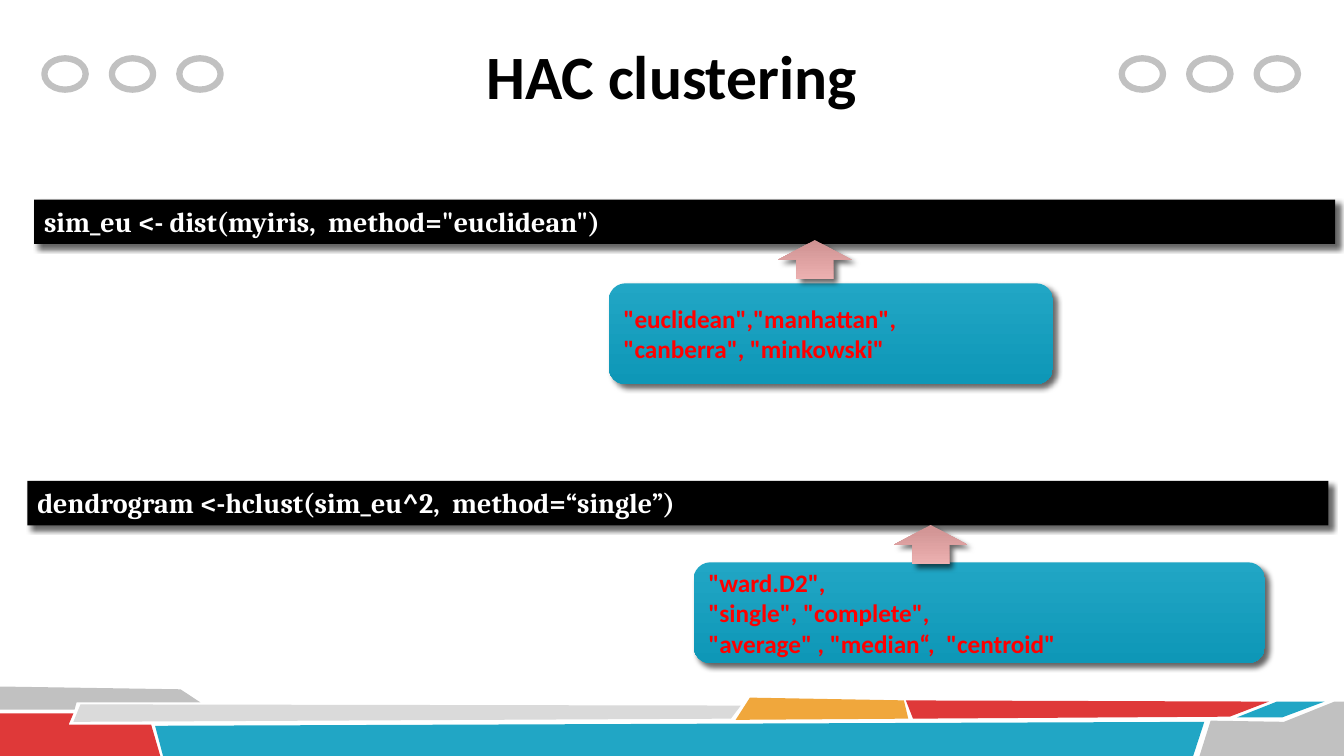
from lxml import etree
from pptx import Presentation
from pptx import util as u
from pptx.dml.color import RGBColor
from pptx.enum import shapes, text
from pptx.oxml.ns import qn

COLORS = {
    "black": "000000", "white": "FFFFFF", "code_text": "FFFFFF", "option_text": "FF0000",
    "gray": "C1C1C1", "light_gray": "DADADA", "red": "DF3939", "orange": "F0A73C",
    "teal": "21A6C5", "deep_teal": "0E97B7", "rose": "CF9292", "light_rose": "ECB0B0",
}

RIBBONS = [
    ("gray", [(0, 17.3), (4.55, 17.37), (5.05, 17.7), (1.93, 17.7), (1.88, 17.88), (0, 17.88)]),
    ("red", [(0, 17.98), (1.85, 17.98), (1.73, 18.26), (3.81, 18.26), (4.04, 19.05), (0, 19.05)]),
    ("light_gray", [(2.03, 17.75), (18.67, 17.78), (18.42, 18.11), (1.85, 18.19)]),
    ("teal", [(3.91, 18.29), (30.35, 18.19), (30.07, 19.05), (4.11, 19.05)]),
    ("orange", [(18.9, 17.58), (22.78, 17.65), (22.89, 18.11), (18.54, 18.14)]),
    ("red", [(22.83, 17.65), (31.98, 17.68), (30.99, 18.06), (23.01, 18.11)]),
    ("teal", [(32.18, 17.68), (33.38, 17.68), (32.31, 18.08), (31.17, 18.08)]),
    ("gray", [(30.51, 18.16), (32.36, 18.19), (33.63, 17.68), (33.87, 17.68),
              (33.87, 19.05), (30.23, 19.05)]),
]

TITLE_FONT = {"name": "Calibri", "size": u.Pt(44), "bold": True}
CODE_FONT = {"name": "Cambria", "size": u.Pt(20), "bold": True}
OPTION_FONT = {"name": "Calibri", "size": u.Pt(18), "bold": True}

CODE_BARS = [
    (0.86, 5.03, 'sim_eu <- dist(myiris,  method="euclidean")'),
    (0.69, 12.12, "dendrogram <-hclust(sim_eu^2,  method=“single”)"),
]
CALLOUTS = [
    (15.34, 7.14, 11.2, ['"euclidean","manhattan",', '"canberra", "minkowski"']),
    (17.48, 14.17, 14.4, ['"ward.D2",', '"single", "complete",',
                          '"average" , "median“,  "centroid"']),
]
ARROWS = [(19.61, 6.05), (22.53, 13.23)]


def rgb(color):
    return RGBColor.from_string(COLORS[color])


def fill_solid(shape, color):
    shape.fill.solid()
    shape.fill.fore_color.rgb = rgb(color)


def fill_gradient(shape, top_color, bottom_color):
    shape.fill.gradient()
    shape.fill.gradient_angle = 270
    for stop, color in zip(shape.fill.gradient_stops, (top_color, bottom_color)):
        stop.color.rgb = rgb(color)


def add_shadow(shape):
    """Give the shape a soft shadow towards the lower right."""
    shape.shadow.inherit = False
    effects = shape._element.spPr.find(qn("a:effectLst"))
    shadow = etree.SubElement(effects, qn("a:outerShdw"), blurRad=str(u.Pt(4)),
                              dist=str(u.Pt(4)), dir="2700000", algn="tl", rotWithShape="0")
    color = etree.SubElement(shadow, qn("a:srgbClr"), val=COLORS["black"])
    etree.SubElement(color, qn("a:alpha"), val="60000")


def add_preset(slide, kind, left, top, width, height):
    """Add a preset shape without outline or shadow."""
    shape = slide.shapes.add_shape(kind, u.Cm(left), u.Cm(top), u.Cm(width), u.Cm(height))
    shape.shadow.inherit = False
    shape.line.fill.background()
    return shape


def write_lines(shape, lines, font, color, anchor, alignment=text.PP_ALIGN.LEFT):
    frame = shape.text_frame
    frame.word_wrap = True
    frame.vertical_anchor = anchor
    for index, line in enumerate(lines):
        paragraph = frame.add_paragraph() if index else frame.paragraphs[0]
        paragraph.alignment = alignment
        run = paragraph.add_run()
        run.text = line
        for name, value in font.items():
            setattr(run.font, name, value)
        run.font.color.rgb = rgb(color)


def add_ribbon(slide, color, points):
    start, *others = [(u.Cm(x), u.Cm(y)) for x, y in points]
    builder = slide.shapes.build_freeform(*start)
    builder.add_line_segments(others, close=True)
    ribbon = builder.convert_to_shape()
    ribbon.shadow.inherit = False
    ribbon.line.fill.background()
    fill_solid(ribbon, color)


def add_rings(slide, left):
    for index in range(3):
        ring = add_preset(slide, shapes.MSO_SHAPE.OVAL, left + index * 1.7, 1.47, 1.04, 0.79)
        ring.fill.background()
        ring.line.color.rgb = rgb("gray")
        ring.line.width = u.Pt(4.5)


def add_title(slide, title):
    box = slide.shapes.add_textbox(u.Cm(5.92), u.Cm(0.3), u.Cm(22.02), u.Cm(3.18))
    write_lines(box, [title], TITLE_FONT, "black", text.MSO_ANCHOR.MIDDLE, text.PP_ALIGN.CENTER)


def add_code_bar(slide, left, top, code):
    bar = add_preset(slide, shapes.MSO_SHAPE.RECTANGLE, left, top, 32.79, 1.12)
    fill_solid(bar, "black")
    add_shadow(bar)
    write_lines(bar, [code], CODE_FONT, "code_text", text.MSO_ANCHOR.TOP)


def add_callout(slide, left, top, width, lines):
    callout = add_preset(slide, shapes.MSO_SHAPE.ROUNDED_RECTANGLE, left, top, width, 2.54)
    fill_gradient(callout, "teal", "deep_teal")
    add_shadow(callout)
    write_lines(callout, lines, OPTION_FONT, "option_text", text.MSO_ANCHOR.MIDDLE)


def add_arrow(slide, left, top):
    arrow = add_preset(slide, shapes.MSO_SHAPE.UP_ARROW, left, top, 1.85, 0.99)
    fill_gradient(arrow, "rose", "light_rose")
    add_shadow(arrow)


def main():
    presentation = Presentation()
    presentation.slide_width = u.Cm(33.87)
    presentation.slide_height = u.Cm(19.05)
    slide = presentation.slides.add_slide(presentation.slide_layouts[6])
    fill_solid(slide.background, "white")
    for ribbon in RIBBONS:
        add_ribbon(slide, *ribbon)
    for left in (1.12, 28.27):
        add_rings(slide, left)
    add_title(slide, "HAC clustering")
    for bar in CODE_BARS:
        add_code_bar(slide, *bar)
    for callout in CALLOUTS:
        add_callout(slide, *callout)
    for arrow in ARROWS:
        add_arrow(slide, *arrow)
    presentation.save("out.pptx")


if __name__ == "__main__":
    main()
